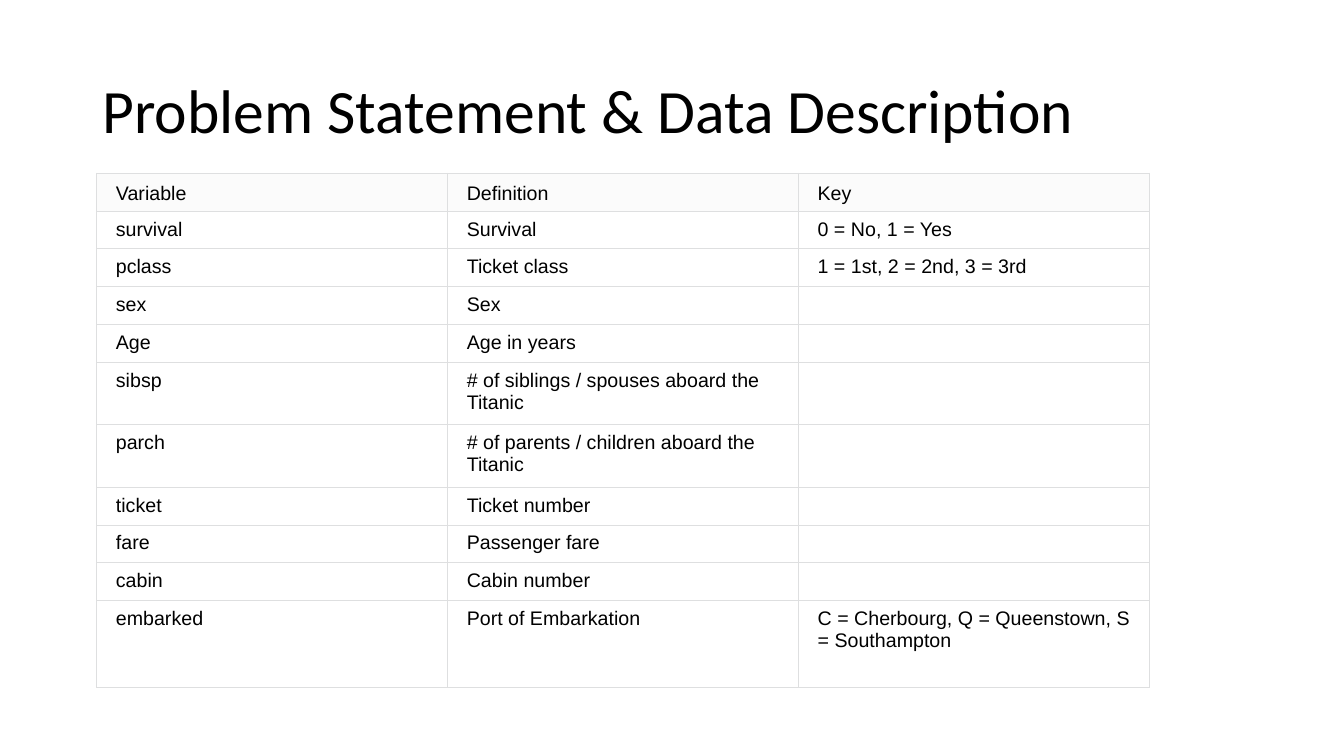
import lxml.etree
import pptx
import pptx.dml.color
import pptx.enum.text
import pptx.oxml.ns
import pptx.util

Inches = pptx.util.Inches
Pt = pptx.util.Pt
RGBColor = pptx.dml.color.RGBColor
ANCHOR = pptx.enum.text.MSO_ANCHOR
qn = pptx.oxml.ns.qn

BLACK = RGBColor(0x00, 0x00, 0x00)
WHITE = RGBColor(0xFF, 0xFF, 0xFF)
HEADER_GRAY = RGBColor(0xFB, 0xFB, 0xFB)
BORDER_GRAY = RGBColor(0xDE, 0xDF, 0xE0)

COLUMN_WIDTH = 3.48
SINGLE_LINE = 3 / 8
DOUBLE_LINE = 0.62
LAST_ROW = 0.86

VARIABLES = [
    (SINGLE_LINE, "Variable", "Definition", "Key"),
    (SINGLE_LINE, "survival", "Survival", "0 = No, 1 = Yes"),
    (SINGLE_LINE, "pclass", "Ticket class", "1 = 1st, 2 = 2nd, 3 = 3rd"),
    (SINGLE_LINE, "sex", "Sex", ""),
    (SINGLE_LINE, "Age", "Age in years", ""),
    (DOUBLE_LINE, "sibsp", "# of siblings / spouses aboard the Titanic", ""),
    (DOUBLE_LINE, "parch", "# of parents / children aboard the Titanic", ""),
    (SINGLE_LINE, "ticket", "Ticket number", ""),
    (SINGLE_LINE, "fare", "Passenger fare", ""),
    (SINGLE_LINE, "cabin", "Cabin number", ""),
    (LAST_ROW, "embarked", "Port of Embarkation",
     "C = Cherbourg, Q = Queenstown, S = Southampton"),
]


def format_runs(paragraph, font_name, size):
    for run in paragraph.runs:
        run.font.name = font_name
        run.font.size = Pt(size)
        run.font.color.rgb = BLACK


def add_title(slide, text):
    shape = slide.shapes.add_textbox(
        Inches(0.92), Inches(0.4), Inches(11.5), Inches(1.45))
    text_frame = shape.text_frame
    text_frame.word_wrap = True
    text_frame.vertical_anchor = ANCHOR.MIDDLE
    text_frame.text = text
    paragraph = text_frame.paragraphs[0]
    paragraph.line_spacing = 0.9
    format_runs(paragraph, "Calibri", 44)


def add_borders(cell):
    properties = cell._tc.get_or_add_tcPr()
    for side in ("a:lnL", "a:lnR", "a:lnT", "a:lnB"):
        line = lxml.etree.SubElement(properties, qn(side), w=str(Pt(0.75)))
        fill = lxml.etree.SubElement(line, qn("a:solidFill"))
        lxml.etree.SubElement(fill, qn("a:srgbClr"), val=str(BORDER_GRAY))


def fill_cell(cell, text, is_header):
    cell.margin_left = cell.margin_right = Inches(0.19)
    cell.margin_top = Inches(0.07 if text else 0)
    cell.margin_bottom = Inches(0.05 if text else 0)
    cell.vertical_anchor = ANCHOR.MIDDLE if is_header else ANCHOR.TOP
    add_borders(cell)
    cell.fill.solid()
    cell.fill.fore_color.rgb = HEADER_GRAY if is_header else WHITE
    if text:
        cell.text_frame.text = text
        format_runs(cell.text_frame.paragraphs[0], "Arial", 14)


def add_variable_table(slide, variables):
    column_count = len(variables[0]) - 1
    total_height = sum(height for height, *_ in variables)
    table = slide.shapes.add_table(
        len(variables), column_count, Inches(0.96), Inches(1.72),
        Inches(COLUMN_WIDTH * column_count), Inches(total_height)).table
    table.first_row = False
    table.horz_banding = False
    for column in table.columns:
        column.width = Inches(COLUMN_WIDTH)
    for row_index, (height, *texts) in enumerate(variables):
        table.rows[row_index].height = Inches(height)
        for column_index, text in enumerate(texts):
            fill_cell(table.cell(row_index, column_index), text, row_index == 0)


def main():
    presentation = pptx.Presentation()
    presentation.slide_width = Inches(13.33)
    presentation.slide_height = Inches(7.5)
    slide = presentation.slides.add_slide(presentation.slide_layouts[6])
    add_title(slide, "Problem Statement & Data Description")
    add_variable_table(slide, VARIABLES)
    presentation.save("out.pptx")


if __name__ == "__main__":
    main()
